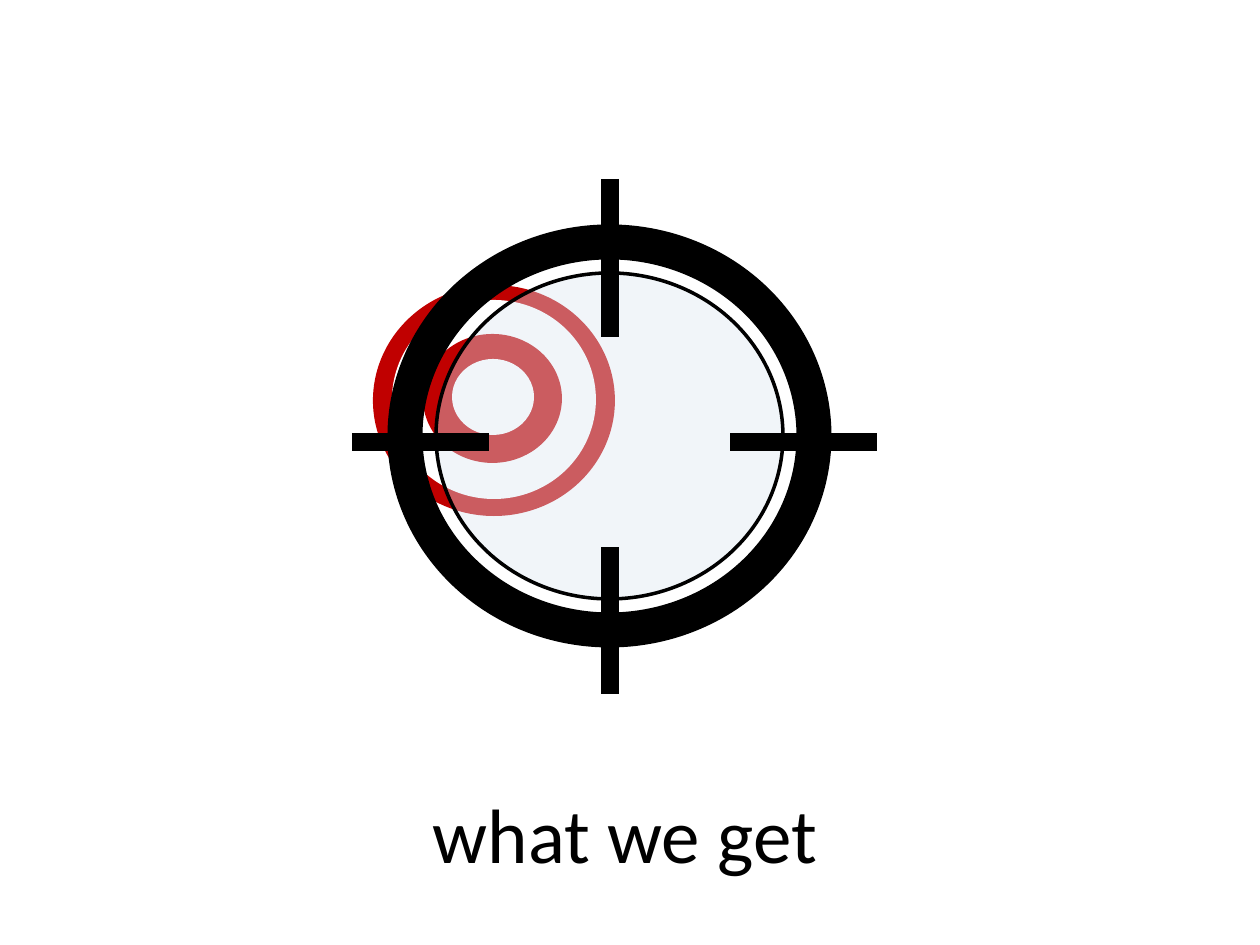
import pptx
import pptx.util
import pptx.dml.color
import pptx.enum.shapes
import pptx.enum.text
import pptx.oxml.ns
import lxml.etree

EMU_PER_PX = 914400 / 126
RED = pptx.dml.color.RGBColor(0xC0, 0x00, 0x00)
WHITE = pptx.dml.color.RGBColor(0xFF, 0xFF, 0xFF)
BLACK = pptx.dml.color.RGBColor(0x00, 0x00, 0x00)
LENS = pptx.dml.color.RGBColor(0xDC, 0xE6, 0xF2)


def px(n):
    return pptx.util.Emu(round(n * EMU_PER_PX))


def add_child(parent, tag, **attrs):
    return lxml.etree.SubElement(parent, pptx.oxml.ns.qn(tag), attrs)


class Deck:
    def __init__(self, width, height):
        self.prs = pptx.Presentation()
        self.prs.slide_width, self.prs.slide_height = px(width), px(height)
        self.s = self.prs.slides.add_slide(self.prs.slide_layouts[6])
        self.font = {"name": "Calibri", "size": pptx.util.Pt(44)}

    def group(self):
        return self.s.shapes.add_group_shape()

    def stroke(self, line, width):
        line.color.rgb = BLACK
        line.width = pptx.util.Pt(width)

    def ellipse(self, group, box, fill=None, alpha=None, line=None):
        sp = group.shapes.add_shape(
            pptx.enum.shapes.MSO_SHAPE.OVAL, *map(px, box))
        sp.shadow.inherit = False
        if fill is None:
            sp.fill.background()
        else:
            sp.fill.solid()
            sp.fill.fore_color.rgb = fill
        if alpha is not None:
            color = sp.fill._xPr.find(".//" + pptx.oxml.ns.qn("a:srgbClr"))
            add_child(color, "a:alpha", val=str(alpha * 1000))
        if line is None:
            sp.line.fill.background()
        else:
            self.stroke(sp.line, line)

    def line(self, group, start, end, width):
        cxn = group.shapes.add_connector(
            pptx.enum.shapes.MSO_CONNECTOR.STRAIGHT, *map(px, start + end))
        self.stroke(cxn.line, width)
        add_child(cxn._element.spPr, "a:effectLst")

    def text(self, box, words):
        tf = self.s.shapes.add_textbox(*map(px, box)).text_frame
        tf.word_wrap = True
        tf.auto_size = pptx.enum.text.MSO_AUTO_SIZE.SHAPE_TO_FIT_TEXT
        p = tf.paragraphs[0]
        p.alignment = pptx.enum.text.PP_ALIGN.CENTER
        r = p.add_run()
        r.text = words
        for key, value in self.font.items():
            setattr(r.font, key, value)
        r.font.color.rgb = BLACK


def main():
    deck = Deck(1260, 945)

    # Target: red and white discs, largest first
    target = deck.group()
    for box, fill in [
        ((373, 285, 242, 231), RED),
        ((392, 300, 204, 199), WHITE),
        ((423, 334, 139, 129), RED),
        ((452, 359, 82, 76), WHITE),
    ]:
        deck.ellipse(target, box, fill)

    # Scope: heavy rim and translucent lens
    scope = deck.group()
    deck.ellipse(scope, (405, 242, 409, 388), line=20)
    deck.ellipse(scope, (436, 273, 347, 326), LENS, alpha=40, line=2)

    # Crosshair: left, right, bottom and top bars
    cx, cy = 610, 442
    for x1, x2 in [(352, 489), (877, 730)]:
        deck.line(scope, (x1, cy), (x2, cy), 10)
    for y1, y2 in [(694, 547), (179, 337)]:
        deck.line(scope, (cx, y1), (cx, y2), 10)

    # Caption
    deck.text((126, 780, 998, 106), "what we get")

    deck.prs.save("out.pptx")


if __name__ == "__main__":
    main()
